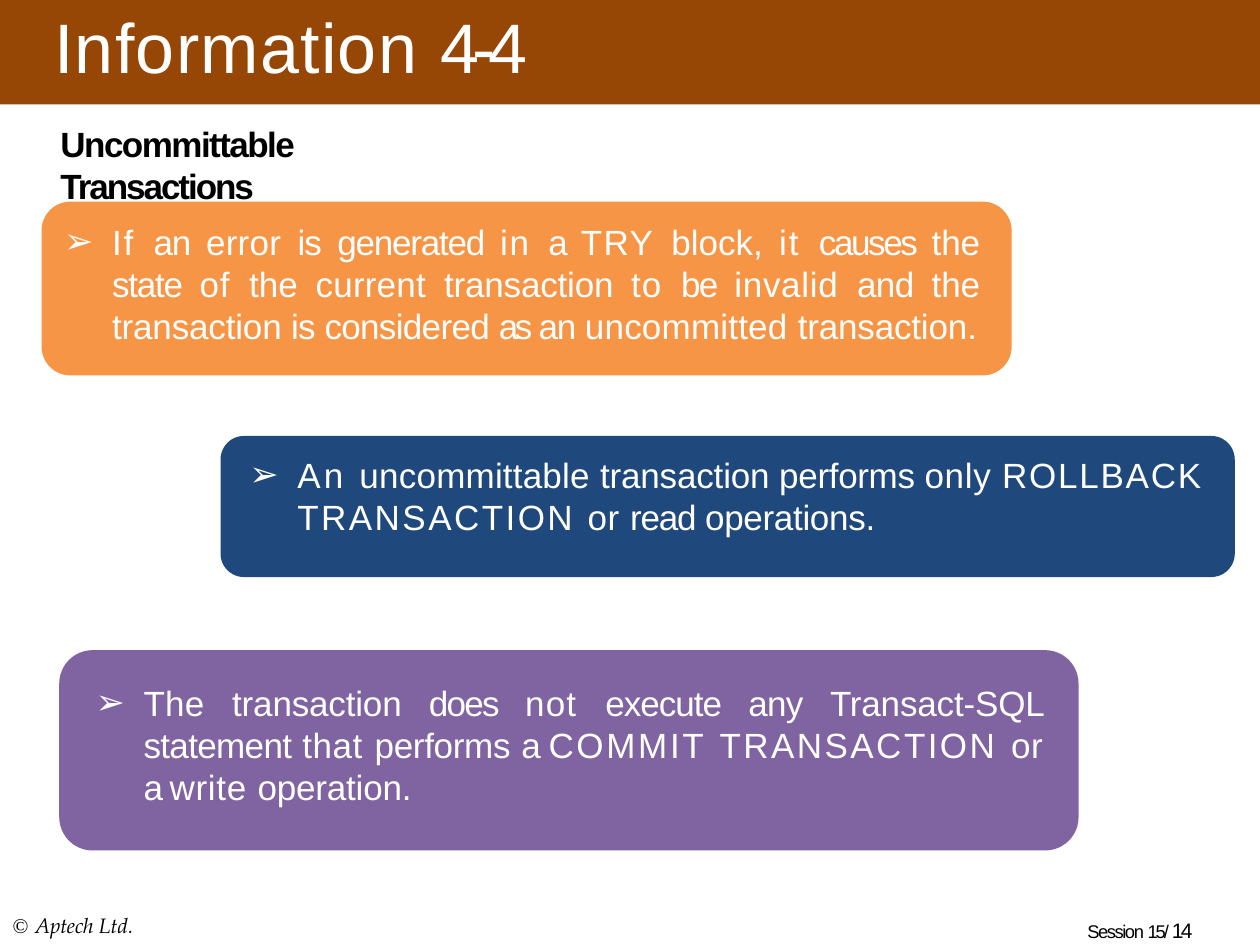
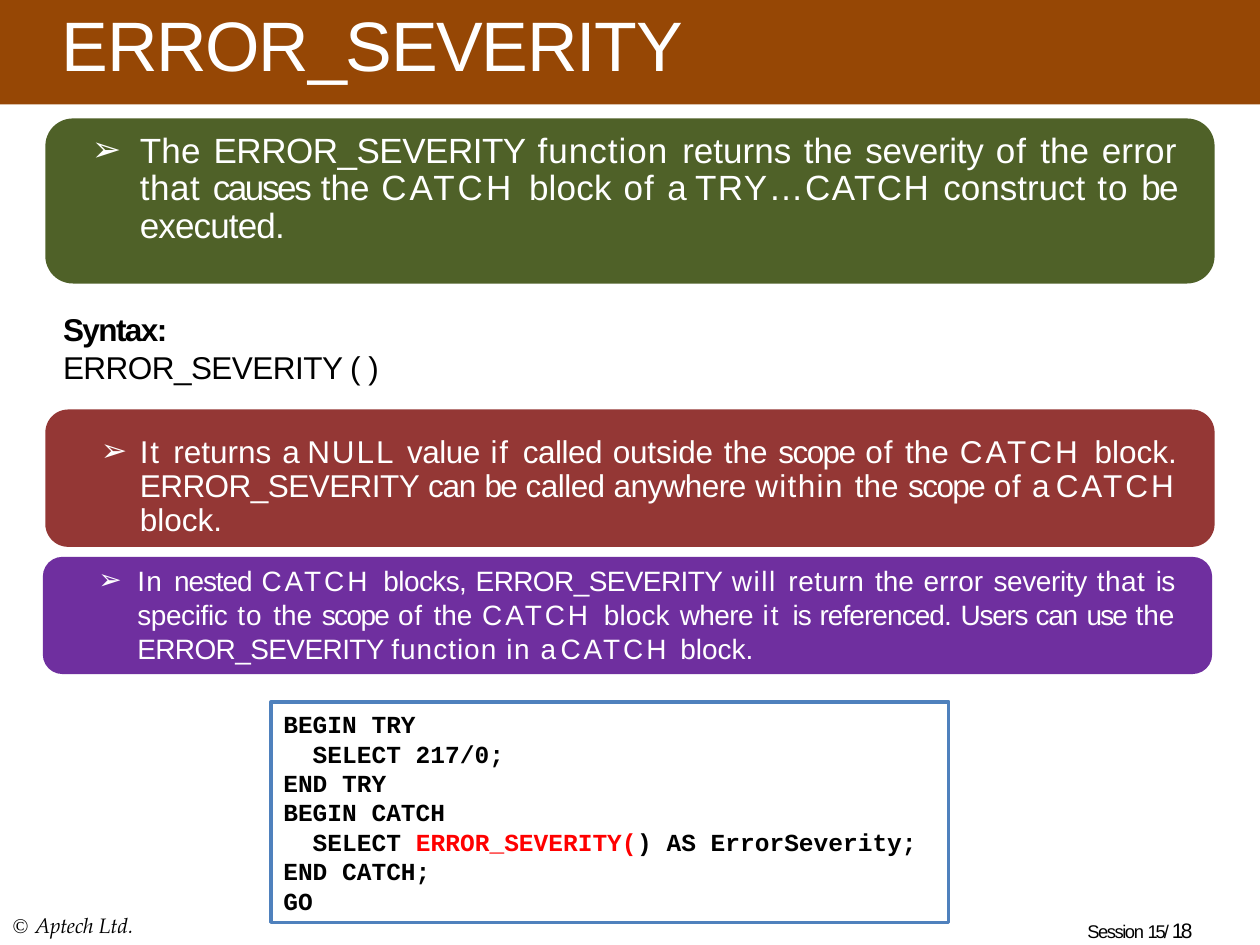
from itertools import groupby

from lxml import etree
from pptx import Presentation
from pptx.dml.color import RGBColor
from pptx.enum.shapes import MSO_SHAPE as SHAPE
from pptx.enum.text import MSO_ANCHOR as ANCHOR, MSO_AUTO_SIZE as AUTO, PP_ALIGN as ALIGN
from pptx.oxml.ns import qn
from pptx.util import Inches, Pt

COLORS = {
    "band": "964705", "white": "FFFFFF", "black": "000000", "orange": "F79546",
    "navy": "1F487C", "lilac": "8063A1", "olive": "4F6128", "brick": "943735",
    "violet": "6F2F9F", "code_line": "4F81BD", "code_mark": "FF0000",
}

TRACKING = {
    "If": 1.1, "an": -0.7, "error": 0.1, "is": -0.5, "generated": -0.7, "in": 0.9,
    "a": -1.9, "TRY": 0.8, "it": 1.2, "causes": -1.4, "state": -0.7, "of": 0.5,
    "current": 0.1, "transaction": -0.1, "to": 0.6, "be": -1, "invalid": 0.4,
    "and": -0.3, "considered": -0.4, "as": -2, "uncommitted": 0.1,
    "transaction.": -0.1, "An": 1.8, "uncommittable": 0.1, "performs": -0.2,
    "only": 0.4, "ROLLBACK": 1, "TRANSACTION": 1.4, "or": 0.3, "read": -0.7,
    "operations.": -0.2, "The": 0.1, "does": -1, "not": 0.6, "execute": -0.6,
    "any": -0.4, "Transact-SQL": -0.1, "statement": -0.4, "that": 0.3,
    "COMMIT": 1.5, "write": 0.4, "operation.": -0.1, "ERROR_SEVERITY": -0.3,
    "function": 0.6, "severity": -0.2, "CATCH": 1.7, "block": 0.1,
    "TRY…CATCH": 0.8, "executed.": -0.5, "It": 1, "NULL": 1.1, "value": -0.3,
    "if": 1.1, "called": -0.3, "outside": -0.1, "scope": -0.9, "can": -0.7,
    "anywhere": -0.3, "within": 0.8, "In": 0.7, "nested": -0.6, "blocks,": -0.3,
    "will": 0.9, "return": 0.3, "specific": -0.2, "where": -0.3,
    "referenced.": -0.5, "Users": -0.7, "use": -1.1,
}


def rgb(name):
    """Return the named palette colour."""
    return RGBColor.from_string(COLORS[name])


def write(p, text, size=12, color="black", font="Arial", bold=False, italic=False, spacing=0):
    """Add one formatted run to a paragraph."""
    r = p.add_run()
    r.text = text
    f = r.font
    f.size, f.name, f.bold, f.italic = Pt(size), font, bold, italic
    f.color.rgb = rgb(color)
    if spacing:
        r._r.get_or_add_rPr().set("spc", str(round(spacing * 100)))


def write_tracked(p, text, **fmt):
    """Write words with their own letter spacing, joining equal neighbours."""
    words = [word + " " for word in text.split()]
    words[-1] = words[-1].rstrip()
    for spacing, group in groupby(words, lambda w: TRACKING.get(w.strip(), 0)):
        write(p, "".join(group), spacing=spacing, **fmt)


def set_paragraph(p, leading, align=ALIGN.LEFT, hang=0):
    """Set leading, alignment and an arrow bullet when a hanging indent is given."""
    p.alignment, p.line_spacing = align, Pt(leading)
    p.space_before = p.space_after = Pt(0)
    pPr = p._p.get_or_add_pPr()
    pPr.set("marL", str(Inches(hang)))
    pPr.set("indent", str(-Inches(hang)))
    bullet = etree.SubElement(pPr, qn("a:buChar" if hang else "a:buNone"))
    if hang:
        bullet.set("char", "➢")


def place(sp, x, y, w, h):
    """Move a text holder, clear its insets and return its text frame."""
    sp.left, sp.top, sp.width, sp.height = map(Inches, (x, y, w, h))
    tf = sp.text_frame
    tf.margin_left = tf.margin_top = tf.margin_right = tf.margin_bottom = 0
    tf.word_wrap, tf.auto_size, tf.vertical_anchor = True, AUTO.NONE, ANCHOR.TOP
    return tf


def add_panel(s, kind, box, color):
    """Add a flat filled shape without an outline."""
    sp = s.shapes.add_shape(kind, *map(Inches, box))
    sp.shadow.inherit = False
    sp.fill.solid()
    sp.fill.fore_color.rgb = rgb(color)
    sp.line.fill.background()
    return sp


def add_band(s, layout):
    """Put the title band on the layout that the slides share."""
    band = add_panel(s, SHAPE.RECTANGLE, (0, 0, 10, 0.83), "band")
    layout.placeholders[0]._element.addprevious(band._element)


def add_title(s, x, y, parts):
    """Fill the title with (text, spacing) parts."""
    p = place(s.shapes.title, x, y, 9, 0.7).paragraphs[0]
    set_paragraph(p, 48)
    for text, spacing in parts:
        write(p, text, size=40, color="white", spacing=spacing)


def add_card(s, idx, box, color, text, inset, size=20, leading=24,
             align=ALIGN.JUSTIFY, hang=0.38):
    """Add a rounded card whose bullet is set in from the card's corner."""
    x, y, _, h = box
    dx, dy, w = inset
    card = add_panel(s, SHAPE.ROUNDED_RECTANGLE, box, color)
    s.shapes.title._element.addprevious(card._element)
    p = place(s.placeholders[idx], x + dx, y + dy, w, h - dy).paragraphs[0]
    set_paragraph(p, leading, align, hang)
    write_tracked(p, text, size=size, color="white")


def add_code(s, box, lines):
    """Add the outlined code box; each line is a list of (text, colour) parts."""
    sp = add_panel(s, SHAPE.RECTANGLE, box, "white")
    sp.line.color.rgb, sp.line.width = rgb("code_line"), Pt(2)
    tf = sp.text_frame
    tf.word_wrap, tf.vertical_anchor = True, ANCHOR.MIDDLE
    for i, parts in enumerate(lines):
        p = tf.add_paragraph() if i else tf.paragraphs[0]
        set_paragraph(p, 16.8)
        for text, color in parts:
            write(p, text, size=14, color=color, font="Courier New", bold=True)


def add_footer(s, number):
    """Add the copyright line and the session number."""
    p = place(s.shapes.add_textbox(0, 0, 0, 0), 0.1, 7.24, 1.2, 0.25).paragraphs[0]
    set_paragraph(p, 14.4)
    write(p, "© ", font="Times New Roman", spacing=0.4)
    write(p, "Aptech Ltd.", font="TeX Gyre Pagella", italic=True)
    p = place(s.shapes.add_textbox(0, 0, 0, 0), 8.63, 7.28, 1, 0.2).paragraphs[0]
    set_paragraph(p, 14.4)
    write(p, "Session ", size=10.5, spacing=-0.8)
    write(p, "15/ ", size=10.5, spacing=-1.2)
    write(p, number, spacing=-1.5)


def build_uncommittable(s):
    """Build the slide on uncommittable transactions."""
    add_title(s, 0.43, 0.03, [("Information ", 0.8), ("4-4", -4)])
    p = place(s.placeholders[1], 0.48, 0.97, 3.4, 0.67).paragraphs[0]
    set_paragraph(p, 24)
    write(p, "Uncommittable ", size=20, bold=True, spacing=-0.9)
    write(p, "Transactions", size=20, bold=True, spacing=-1.2)
    add_card(s, 2, (0.33, 1.6, 7.7, 1.38), "orange",
             "If an error is generated in a TRY block, it causes the state of the current "
             "transaction to be invalid and the transaction is considered as an "
             "uncommitted transaction.", (0.18, 0.15, 7.27))
    add_card(s, 3, (1.75, 3.46, 8.05, 1.12), "navy",
             "An uncommittable transaction performs only ROLLBACK TRANSACTION or read "
             "operations.", (0.23, 0.14, 7.6), align=ALIGN.LEFT)
    add_card(s, 4, (0.47, 5.16, 8.09, 1.59), "lilac",
             "The transaction does not execute any Transact-SQL statement that performs "
             "a COMMIT TRANSACTION or a write operation.", (0.29, 0.25, 7.52))
    add_footer(s, "14")


def build_severity(s):
    """Build the slide on the ERROR_SEVERITY function."""
    add_title(s, 0.49, 0.01, [("ERROR_SEVERITY", -0.7)])
    add_card(s, 1, (0.36, 0.94, 9.28, 1.31), "olive",
             "The ERROR_SEVERITY function returns the severity of the error that causes "
             "the CATCH block of a TRY…CATCH construct to be executed.",
             (0.37, 0.11, 8.61), leading=21.6)
    tf = place(s.placeholders[2], 0.5, 2.46, 4, 0.65)
    for p, text, bold, spacing in (
            (tf.paragraphs[0], "Syntax:", True, -0.9),
            (tf.add_paragraph(), "ERROR_SEVERITY ( )", False, -0.3)):
        set_paragraph(p, 21.6)
        write(p, text, size=18, bold=bold, spacing=spacing)
    add_card(s, 3, (0.36, 3.25, 9.28, 1.09), "brick",
             "It returns a NULL value if called outside the scope of the CATCH block. "
             "ERROR_SEVERITY can be called anywhere within the scope of a CATCH block.",
             (0.44, 0.21, 8.54), size=18, leading=19.4, hang=0.31)
    add_card(s, 4, (0.34, 4.42, 9.28, 0.93), "violet",
             "In nested CATCH blocks, ERROR_SEVERITY will return the error severity that "
             "is specific to the scope of the CATCH block where it is referenced. Users "
             "can use the ERROR_SEVERITY function in a CATCH block.",
             (0.44, 0.05, 8.54), size=16, leading=19.4, hang=0.31)
    add_footer(s, "18")
    add_code(s, (2.15, 5.57, 5.38, 1.75), [
        [("BEGIN TRY", "black")],
        [("  SELECT 217/0;", "black")],
        [("END TRY", "black")],
        [("BEGIN CATCH", "black")],
        [("  SELECT ", "black"), ("ERROR_SEVERITY(", "code_mark"),
         (") AS ErrorSeverity;", "black")],
        [("END CATCH;", "black")],
        [("GO", "black")],
    ])


def main():
    """Build and save the slides."""
    prs = Presentation()
    prs.slide_width, prs.slide_height = Inches(10), Inches(7.5)
    layout = prs.slide_layouts.get_by_name("Comparison")
    slides = [prs.slides.add_slide(layout) for _ in range(2)]
    add_band(slides[0], layout)
    for s, build in zip(slides, (build_uncommittable, build_severity)):
        build(s)
    prs.save("out.pptx")


if __name__ == "__main__":
    main()
